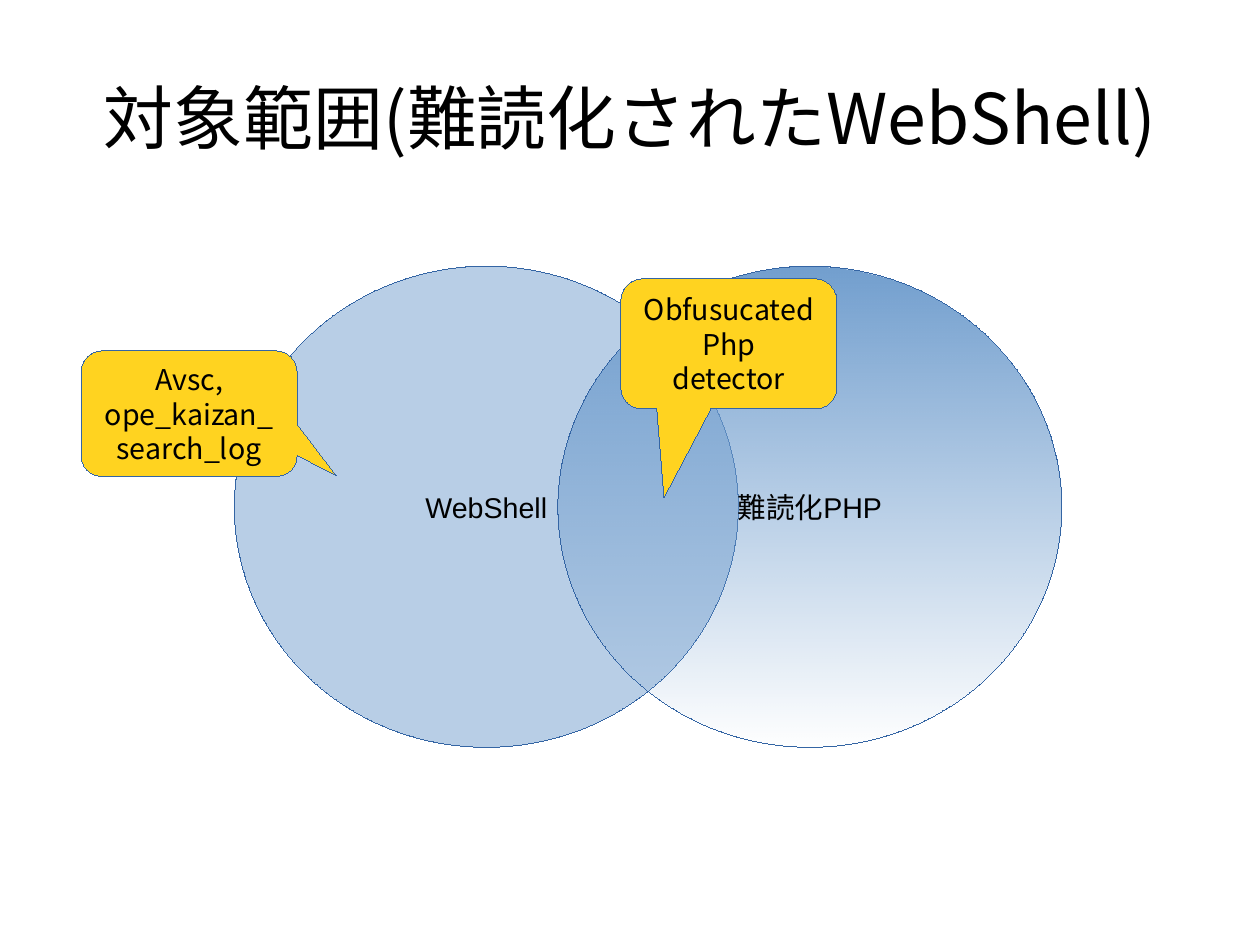
"""Build a Venn slide on obfuscated web shells and the tools that cover them."""
from lxml.etree import SubElement
from pptx import Presentation
from pptx.dml.color import RGBColor
from pptx.enum.shapes import MSO_SHAPE as Shape
from pptx.enum.text import MSO_ANCHOR as Anchor, MSO_AUTO_SIZE as AutoSize, PP_ALIGN as Align
from pptx.oxml.ns import qn
from pptx.util import Cm, Pt

WIDTH, HEIGHT = Cm(28), Cm(21)
CJK, LATIN = "Noto Sans CJK JP", "Arial"
BLUE, OUTLINE, YELLOW, BLACK = "729FCF", "3465A4", "FFD320", "000000"

HEADING = "対象範囲(難読化されたWebShell)"
HEADING_BOX = (4.99, 3.99, 90, 16.69)

CIRCLE_TOP, CIRCLE_WIDTH, CIRCLE_HEIGHT = 28.17, 40, 50.91
CIRCLES = [
    {"lines": ["WebShell"], "left": 18.6, "opacities": [50]},
    {"lines": ["難読化PHP"], "left": 44.28, "opacities": [100, 0]},
]

CALLOUT_WIDTH = 17.15
CALLOUTS = [
    {"lines": ["Avsc,", "ope_kaizan_", "search_log"], "left": 6.44, "top": 37.12,
     "height": 13.3, "tail": (0.68, 0.49)},
    {"lines": ["Obfusucated", "Php", "detector"], "left": 49.27, "top": 29.5,
     "height": 13.78, "tail": (-0.3, 1.18)},
]


def colour(code):
    return RGBColor.from_string(code)


def to_lengths(left, top, width, height):
    return [round(share * side / 100) for share, side in
            zip((left, top, width, height), (WIDTH, HEIGHT, WIDTH, HEIGHT))]


def apply(target, settings):
    for name, value in settings.items():
        setattr(target, name, value)


def write(frame, lines, face, size, frame_format):
    apply(frame, frame_format)
    for index, line in enumerate(lines):
        paragraph = frame.add_paragraph() if index else frame.paragraphs[0]
        paragraph.alignment = Align.CENTER
        run = paragraph.add_run()
        run.text = line
        apply(run.font, {"name": face, "size": Pt(size), "bold": False})
        run.font.color.rgb = colour(BLACK)
        SubElement(run.font._element, qn("a:ea"), typeface=CJK)


def fill_blue(shape, opacities):
    if len(opacities) == 1:
        shape.fill.solid()
        shape.fill.fore_color.rgb = colour(BLUE)
    else:
        shape.fill.gradient()
        shape.fill.gradient_angle = 270
        for stop, position in zip(shape.fill.gradient_stops, (0, 1)):
            stop.position = position
            stop.color.rgb = colour(BLUE)
    tints = list(shape._element.spPr.iter(qn("a:srgbClr")))
    for tint, opacity in zip(tints, opacities):
        SubElement(tint, qn("a:alpha"), val=str(opacity * 1000))


def add_outlined(slide, kind, box, lines, face):
    shape = slide.shapes.add_shape(kind, *to_lengths(*box))
    shape.shadow.inherit = False
    write(shape.text_frame, lines, face, 18,
          {"word_wrap": False, "vertical_anchor": Anchor.MIDDLE})
    return shape


def draw_hairline(shape):
    shape.line.color.rgb = colour(OUTLINE)
    shape._element.spPr.find(qn("a:ln")).set("w", "0")


def main():
    deck = Presentation()
    apply(deck, {"slide_width": WIDTH, "slide_height": HEIGHT})
    slide = deck.slides.add_slide(deck.slide_layouts[5])

    heading = slide.shapes.title
    apply(heading, dict(zip(("left", "top", "width", "height"), to_lengths(*HEADING_BOX))))
    write(heading.text_frame, [HEADING], CJK, 44,
          {"margin_left": 0, "margin_top": 0, "margin_right": 0, "margin_bottom": 0,
           "word_wrap": True, "auto_size": AutoSize.NONE, "vertical_anchor": Anchor.MIDDLE})

    for group in CIRCLES:
        box = (group["left"], CIRCLE_TOP, CIRCLE_WIDTH, CIRCLE_HEIGHT)
        circle = add_outlined(slide, Shape.OVAL, box, group["lines"], LATIN)
        fill_blue(circle, group["opacities"])
        draw_hairline(circle)

    for tool in CALLOUTS:
        box = (tool["left"], tool["top"], CALLOUT_WIDTH, tool["height"])
        callout = add_outlined(slide, Shape.ROUNDED_RECTANGULAR_CALLOUT, box, tool["lines"], CJK)
        for index, share in enumerate(tool["tail"]):
            callout.adjustments[index] = share
        callout.fill.solid()
        callout.fill.fore_color.rgb = colour(YELLOW)
        draw_hairline(callout)

    deck.save("out.pptx")


if __name__ == "__main__":
    main()
